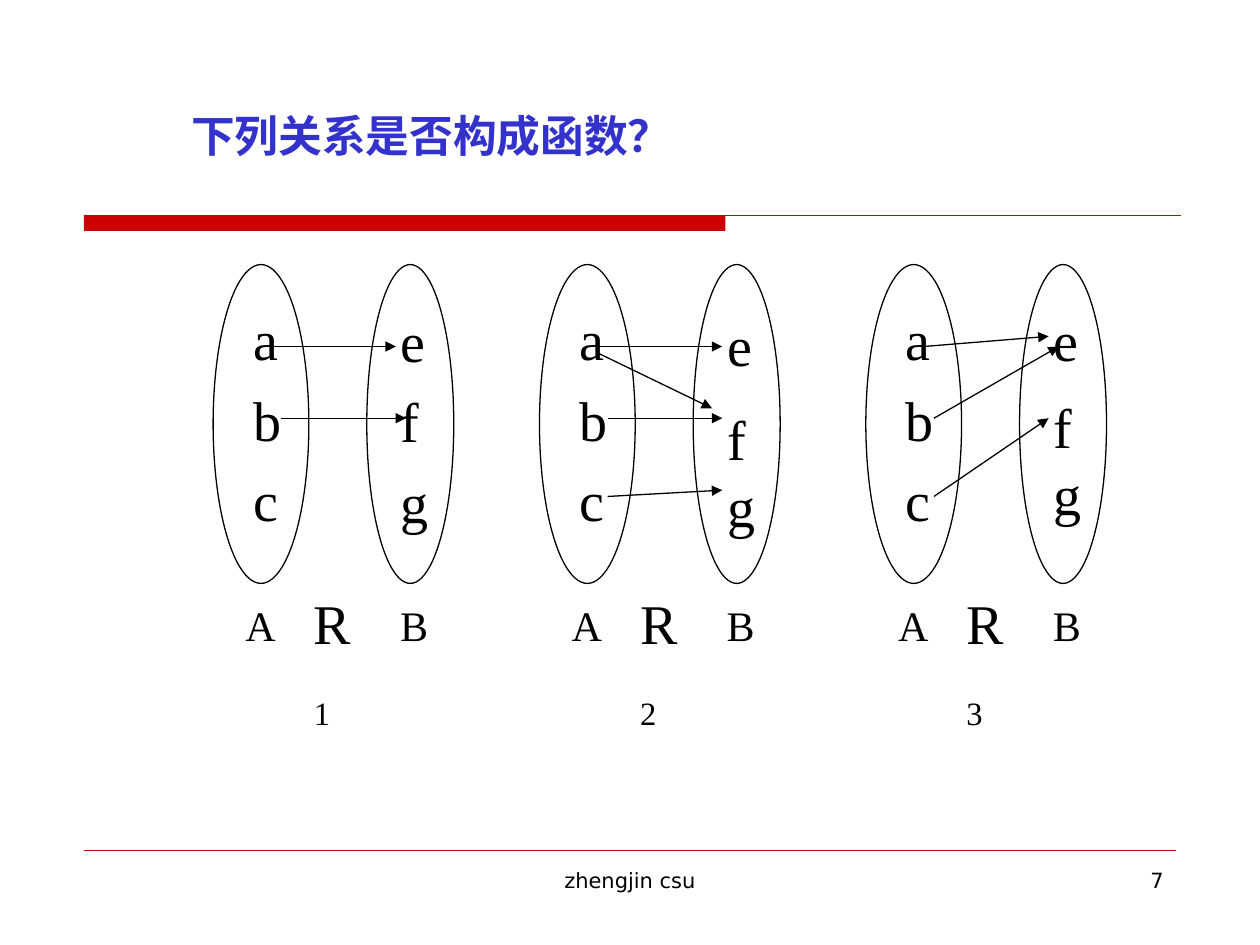
from lxml import etree
from pptx import Presentation
from pptx.dml.color import RGBColor
from pptx.enum.shapes import MSO_CONNECTOR, MSO_SHAPE
from pptx.enum.text import MSO_ANCHOR, PP_ALIGN
from pptx.oxml.ns import qn
from pptx.util import Pt

STRAIGHT = MSO_CONNECTOR.STRAIGHT
OVAL, RECTANGLE = MSO_SHAPE.OVAL, MSO_SHAPE.RECTANGLE
LEFT, CENTER, RIGHT = PP_ALIGN.LEFT, PP_ALIGN.CENTER, PP_ALIGN.RIGHT
BOTTOM = MSO_ANCHOR.BOTTOM

COLORS = {"title": "3333CC", "rule": "CC0000", "ink": "000000"}
SANS, SERIF = "DejaVu Sans", "Times New Roman"

TITLE = "下列关系是否构成函数？"
FOOTER, PAGE = "zhengjin csu", "7"

# Arrow ends are measured from the left of the relation and the top of the slide.
A, A_LOW, B, C = (33.1, 198), (33.1, 201.6), (38.9, 239), (38.9, 283.7)
DOMAIN = [("a", 1.2), ("b", 1.2), ("c", 1.2)]
RELATIONS = [
    {"number": "1", "range_top": 156.2,
     "range": [("e", 1.4), ("f", 1.2), ("g", 1.2)],
     "arrows": [(A, (104.4, 198)), (B, (110.2, 239))]},
    {"number": "2", "range_top": 158.4,
     "range": [("e", 1.4), ("f", 1.4), ("g", 1)],
     "arrows": [(A, (104.4, 198)), (B, (104.4, 239)),
                (A_LOW, (98.6, 233.3)), (C, (104.4, 280.1))]},
    {"number": "3", "range_top": 155.5,
     "range": [("e", 1.4), ("f", 1.3), ("g", 1)],
     "arrows": [(A, (104.4, 192.2)), (B, (110.2, 198)),
                (C, (104.4, 239))]},
]
FIRST_LEFT, RELATION_PITCH = 121.8, 186.5


def format_font(font, color, **values):
    font.color.rgb = RGBColor.from_string(COLORS[color])
    for name, value in values.items():
        setattr(font, name, value)


def add_line(shapes, start, end, color, weight, arrow=False):
    line = shapes.add_connector(STRAIGHT, *map(Pt, start + end))
    line.line.color.rgb = RGBColor.from_string(COLORS[color])
    line.line.width = Pt(weight)
    properties = line._element.spPr
    if arrow:
        etree.SubElement(properties.find(qn("a:ln")), qn("a:tailEnd"), type="triangle")
    etree.SubElement(properties, qn("a:effectLst"))


def add_text(shapes, box, lines, size, font=SERIF, align=LEFT, wrap=False):
    """Add one paragraph for each (text, line spacing) pair; return the last one."""
    frame = shapes.add_textbox(*map(Pt, box)).text_frame
    frame.word_wrap = wrap
    for index, (text, spacing) in enumerate(lines):
        paragraph = frame.add_paragraph() if index else frame.paragraphs[0]
        paragraph.alignment, paragraph.line_spacing = align, spacing
        run = paragraph.add_run()
        run.text = text
        format_font(run.font, "ink", size=Pt(size), name=font)
    return paragraph


def add_set(shapes, left, width):
    oval = shapes.add_shape(OVAL, Pt(left), Pt(151.2), Pt(width), Pt(182.2))
    oval.shadow.inherit = False
    oval.fill.background()
    oval.line.color.rgb = RGBColor.from_string(COLORS["ink"])
    oval.line.width = Pt(0.75)


def add_relation(slide, left, relation):
    shapes = slide.shapes.add_group_shape().shapes
    add_set(shapes, left, 54.7)
    add_set(shapes, left + 87.8, 49.7)

    name = add_text(shapes, (left + 50.4, 332.6, 44.6, 51), [("R", 1)], 32)
    subscript = name.add_run()
    subscript.text = relation["number"]
    format_font(subscript.font, "ink", size=Pt(32), name=SERIF)
    subscript.font._element.set("baseline", "-25000")

    add_text(shapes, (left + 15.8, 162.7, 30.2, 184.3), DOMAIN, 32)
    add_text(shapes, (left + 100.1, relation["range_top"], 30.2, 191.5),
             relation["range"], 32)
    add_text(shapes, (left + 11.3, 339.1, 31.7, 36), [("A", 1)], 24)
    add_text(shapes, (left + 99.8, 339.1, 30.4, 36), [("B", 1)], 24)
    for (x1, y1), (x2, y2) in relation["arrows"]:
        add_line(shapes, (left + x1, y1), (left + x2, y2), "ink", 0.75, arrow=True)


def main():
    deck = Presentation()
    deck.slide_width, deck.slide_height = Pt(720), Pt(540)
    slide = deck.slides.add_slide(deck.slide_layouts[5])

    bar = slide.shapes.add_shape(RECTANGLE, Pt(48), Pt(123), Pt(366.5), Pt(9))
    bar.shadow.inherit = False
    bar.fill.solid()
    bar.fill.fore_color.rgb = RGBColor.from_string(COLORS["rule"])
    bar.line.fill.background()
    add_line(slide.shapes, (48, 123), (674.6, 123), "rule", 0.75)
    add_line(slide.shapes, (48, 486), (672, 486), "rule", 0.25)

    title = slide.shapes.title
    title.left, title.top, title.width, title.height = map(Pt, (102, 30, 612, 66))
    title.text_frame.text = TITLE
    title.text_frame.vertical_anchor = BOTTOM
    heading = title.text_frame.paragraphs[0]
    heading.alignment = LEFT
    format_font(heading.runs[0].font, "title", size=Pt(25), name=SANS, bold=True)

    add_text(slide.shapes, (246, 492, 228, 37.5), [(FOOTER, 1)], 12, SANS, CENTER, True)
    add_text(slide.shapes, (516, 492, 156, 37.5), [(PAGE, 1)], 12, SANS, RIGHT, True)

    for index, relation in enumerate(RELATIONS):
        add_relation(slide, FIRST_LEFT + index * RELATION_PITCH, relation)
    deck.save("out.pptx")


if __name__ == "__main__":
    main()
